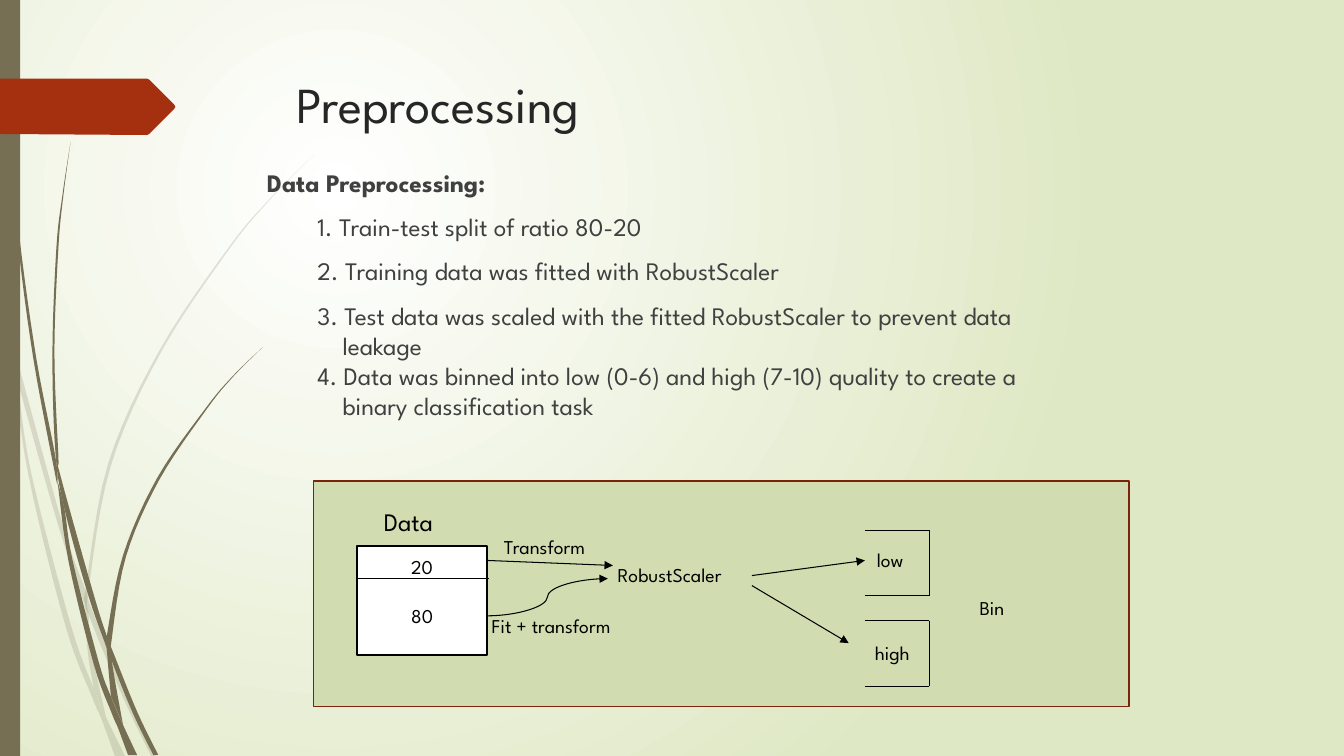
from lxml import etree
from pptx import Presentation
from pptx import util as u
from pptx.dml.color import RGBColor
from pptx.enum import shapes, text
from pptx.oxml.ns import qn

CM_PER_INCH = 2.54
FONT = "League Spartan"
COLORS = {
    "white": "FFFFFF",
    "black": "000000",
    "background": "DFE8C4",
    "olive": "766F54",
    "red": "A53010",
    "panel": "D1DDB0",
    "panel_line": "7A240C",
    "title": "262626",
    "body": "404040",
}

FAINT_STRANDS = [
    ([(0, 2.82), (0.09, 3.22), (0.14, 3.45), (0.62, 5.2), (0.85, 5.86),
      (0.92, 6.07), (1.27, 6.92), (1.55, 7.5)],
     [(1.5, 7.5), (1.23, 6.94), (0.88, 6.1), (0.58, 5.22), (0.17, 3.76),
      (0.1, 3.44), (0, 2.99)]),
    ([(0.11, 3.5), (0.17, 3.76), (0.31, 4.69), (0.7, 6.19), (0.93, 6.83),
      (1.05, 7.11), (1.24, 7.5)],
     [(1.14, 7.5), (1.01, 7.14), (0.92, 6.93), (0.65, 6.21), (0.28, 4.7),
      (0.11, 3.5)]),
    ([(3.12, 1.53), (2.9, 1.75), (2.68, 1.98), (2.29, 2.45), (1.6, 3.49),
      (1.1, 4.62), (0.88, 5.84), (0.88, 6.1), (0.91, 6.46), (1.05, 7.11)],
     [(0.93, 6.83), (0.87, 6.46), (0.84, 5.99), (0.85, 5.84), (1.07, 4.61),
      (1.58, 3.48), (2.28, 2.44), (2.68, 1.97), (3.12, 1.53)]),
]
DARK_STRANDS = [
    ([(0.04, 0), (0.05, 0.48), (0.08, 1.09), (0.19, 2.32), (0.36, 3.55),
      (0.55, 4.53), (0.57, 4.81)],
     [(0.56, 4.77), (0.33, 3.55), (0.17, 2.33), (0.07, 1.1), (0.03, 0)]),
    ([(0.57, 4.77), (0.64, 5.05), (0.72, 5.56), (0.98, 6.57), (1.1, 6.91),
      (1.22, 7.19), (1.36, 7.49)],
     [(1.27, 7.49), (1.17, 7.22), (1.11, 7.08), (0.93, 6.59), (0.68, 5.57),
      (0.57, 4.77)]),
    ([(0.7, 1.41), (0.63, 1.93), (0.58, 2.45), (0.54, 3.49), (0.58, 4.53),
      (0.6, 4.72), (0.93, 5.9), (1.06, 6.31), (1.13, 6.49), (1.36, 7.06),
      (1.57, 7.49)],
     [(1.52, 7.49), (1.32, 7.08), (1.11, 6.56), (0.88, 5.92), (0.64, 5.05),
      (0.55, 4.49), (0.52, 3.49), (0.56, 2.45), (0.62, 1.93), (0.7, 1.41)]),
    ([(2.61, 3.44), (2.31, 3.74), (2.05, 4.06), (1.58, 4.76), (1.25, 5.52),
      (1.11, 6.33), (1.11, 6.56), (1.22, 7.19)],
     [(1.1, 6.91), (1.06, 6.45), (1.06, 6.31), (1.22, 5.51), (1.56, 4.74),
      (2.04, 4.05), (2.31, 3.73), (2.61, 3.44)]),
]
STEPS = [
    (["1. Train-test split of ratio 80-20"], 10),
    (["2. Training data was fitted with RobustScaler"], 10),
    (["3. Test data was scaled with the fitted RobustScaler to prevent data", "leakage"], 10),
    (["4. Data was binned into low (0-6) and high (7-10) quality to create a",
      "binary classification task"], 0),
]
LABELS = [
    ("20", 3.98, 5.46, 0.75, 14),
    ("80", 3.98, 5.94, 0.75, 14),
    ("Data", 3.71, 4.97, 0.82, 18),
    ("RobustScaler", 6.03, 5.54, 1.43, 14),
    ("Transform", 4.9, 5.26, 1.11, 14),
    ("Fit + transform", 4.78, 6.04, 1.52, 14),
    ("Bin", 9.62, 5.86, 0.47, 14),
    ("low", 8.6, 5.39, 0.53, 14),
    ("high", 8.58, 6.31, 0.61, 14),
]
ARROWS = [
    ((4.83, 5.56), (6.08, 5.61)),
    ((7.46, 5.71), (8.58, 5.56)),
    ((7.46, 5.81), (8.42, 6.38)),
]


def cm(inches):
    return u.Cm(inches * CM_PER_INCH)


def smooth_edge(points, steps=6):
    padded = [points[0], *points, points[-1]]
    curve = [points[0]]
    for a, b, c, d in zip(padded, padded[1:], padded[2:], padded[3:]):
        for step in range(1, steps + 1):
            t = step / steps
            curve.append(tuple(
                (2 * q + (r - p) * t + (2 * p - 5 * q + 4 * r - s) * t ** 2
                 + (3 * q - p - 3 * r + s) * t ** 3) / 2
                for p, q, r, s in zip(a, b, c, d)))
    return curve


class SlideBuilder:
    def __init__(self, slide):
        self.slide = slide

    def color(self, name):
        return RGBColor.from_string(COLORS[name])

    def background(self, center, edge):
        fill = self.slide.background.fill
        fill.gradient()
        for stop, name, position in zip(fill.gradient_stops, (center, edge), (0, 1)):
            stop.color.rgb = self.color(name)
            stop.position = position
        linear = self.slide.element.find(".//" + qn("a:lin"))
        gradient = linear.getparent()
        gradient.remove(linear)
        radial = etree.SubElement(gradient, qn("a:path"), path="circle")
        etree.SubElement(radial, qn("a:fillToRect"), l="50000", t="50000", r="100000", b="100000")

    def paint(self, shape, fill, line=None, alpha=None):
        shape.shadow.inherit = False
        shape.fill.solid()
        shape.fill.fore_color.rgb = self.color(fill)
        if alpha:
            color = shape.fill._xPr.find(".//" + qn("a:srgbClr"))
            etree.SubElement(color, qn("a:alpha"), val=str(alpha * 1000))
        if line:
            shape.line.color.rgb = self.color(line)
            shape.line.width = u.Pt(1.25)
        else:
            shape.line.fill.background()

    def box(self, left, top, width, height, fill, line=None):
        shape = self.slide.shapes.add_shape(
            shapes.MSO_SHAPE.RECTANGLE, cm(left), cm(top), cm(width), cm(height))
        self.paint(shape, fill, line)

    def outline(self, points, fill, alpha=None):
        points = [(cm(x), cm(y)) for x, y in points]
        builder = self.slide.shapes.build_freeform(*points[0])
        builder.add_line_segments(points[1:], close=True)
        self.paint(builder.convert_to_shape(), fill, alpha=alpha)

    def line(self, start, end, arrow=False, kind=shapes.MSO_CONNECTOR.STRAIGHT):
        connector = self.slide.shapes.add_connector(
            kind, *(cm(value) for value in (*start, *end)))
        connector.line.color.rgb = self.color("black")
        connector.line.width = u.Pt(0.75)
        if arrow:
            etree.SubElement(connector.line._get_or_add_ln(), qn("a:tailEnd"), type="triangle")
        etree.SubElement(connector._element.spPr, qn("a:effectLst"))

    def run(self, paragraph, words, size, color, bold=False):
        run = paragraph.add_run()
        run.text = words
        run.font.name = FONT
        run.font.size = u.Pt(size)
        run.font.bold = bold
        run.font.color.rgb = self.color(color)

    def title(self, words, left, top, width, height):
        shape = self.slide.shapes.title
        shape.left, shape.top, shape.width, shape.height = map(cm, (left, top, width, height))
        frame = shape.text_frame
        frame.auto_size = text.MSO_AUTO_SIZE.NONE
        frame.vertical_anchor = text.MSO_ANCHOR.TOP
        paragraph = frame.paragraphs[0]
        paragraph.alignment = text.PP_ALIGN.LEFT
        self.run(paragraph, words, 36, "title")

    def text_box(self, left, top, width, height, wrap):
        shape = self.slide.shapes.add_textbox(cm(left), cm(top), cm(width), cm(height))
        shape.text_frame.word_wrap = wrap
        return shape.text_frame

    def label(self, words, left, top, width, size):
        frame = self.text_box(left, top, width, 0.4 if size > 14 else 0.34, False)
        self.run(frame.paragraphs[0], words, size, "black")

    def steps(self, heading, items, left, top, width, height):
        frame = self.text_box(left, top, width, height, True)
        self.run(frame.paragraphs[0], heading, 18, "body", bold=True)
        for lines, space_before in items:
            paragraph = frame.add_paragraph()
            paragraph.space_before = u.Pt(space_before)
            properties = paragraph._p.get_or_add_pPr()
            properties.set("marL", str(cm(0.75)))
            properties.set("indent", str(-cm(0.25)))
            for index, words in enumerate(lines):
                if index:
                    paragraph.add_line_break()
                self.run(paragraph, words, 18, "body")


def main():
    presentation = Presentation()
    presentation.slide_width, presentation.slide_height = cm(13.333), cm(7.5)
    page = SlideBuilder(presentation.slides.add_slide(presentation.slide_layouts[5]))
    page.background("white", "background")
    for strands, alpha in ((FAINT_STRANDS, 20), (DARK_STRANDS, None)):
        for outer, inner in strands:
            page.outline(smooth_edge(outer) + smooth_edge(inner), "olive", alpha)
    page.box(0, 0, 0.2, 7.5, "olive")
    page.outline([(0, 0.78), (1.46, 0.78), (1.48, 0.79), (1.73, 1.04), (1.74, 1.06),
                  (1.73, 1.08), (1.48, 1.33), (1.46, 1.34), (0, 1.33)], "red")
    page.title("Preprocessing", 2.84, 0.68, 9.75, 1.4)
    page.steps("Data Preprocessing:", STEPS, 2.55, 1.61, 9.75, 4.13)

    page.box(3.11, 4.77, 8.09, 2.24, "panel", "panel_line")
    page.box(3.54, 5.42, 1.29, 1.08, "white", "black")
    page.line((4.85, 5.74), (3.54, 5.74))
    page.line((4.83, 6.11), (6.03, 5.74), True, shapes.MSO_CONNECTOR.CURVE)
    for start, end in ARROWS:
        page.line(start, end, True)
    bin_left, bin_right, bin_height = 8.58, 9.22, 0.65
    for top in (5.26, 6.16):
        bottom = top + bin_height
        page.line((bin_right, top), (bin_left, top))
        page.line((bin_right, top), (bin_right, bottom))
        page.line((bin_right, bottom), (bin_left, bottom))
    for label in LABELS:
        page.label(*label)
    presentation.save("out.pptx")


if __name__ == "__main__":
    main()
